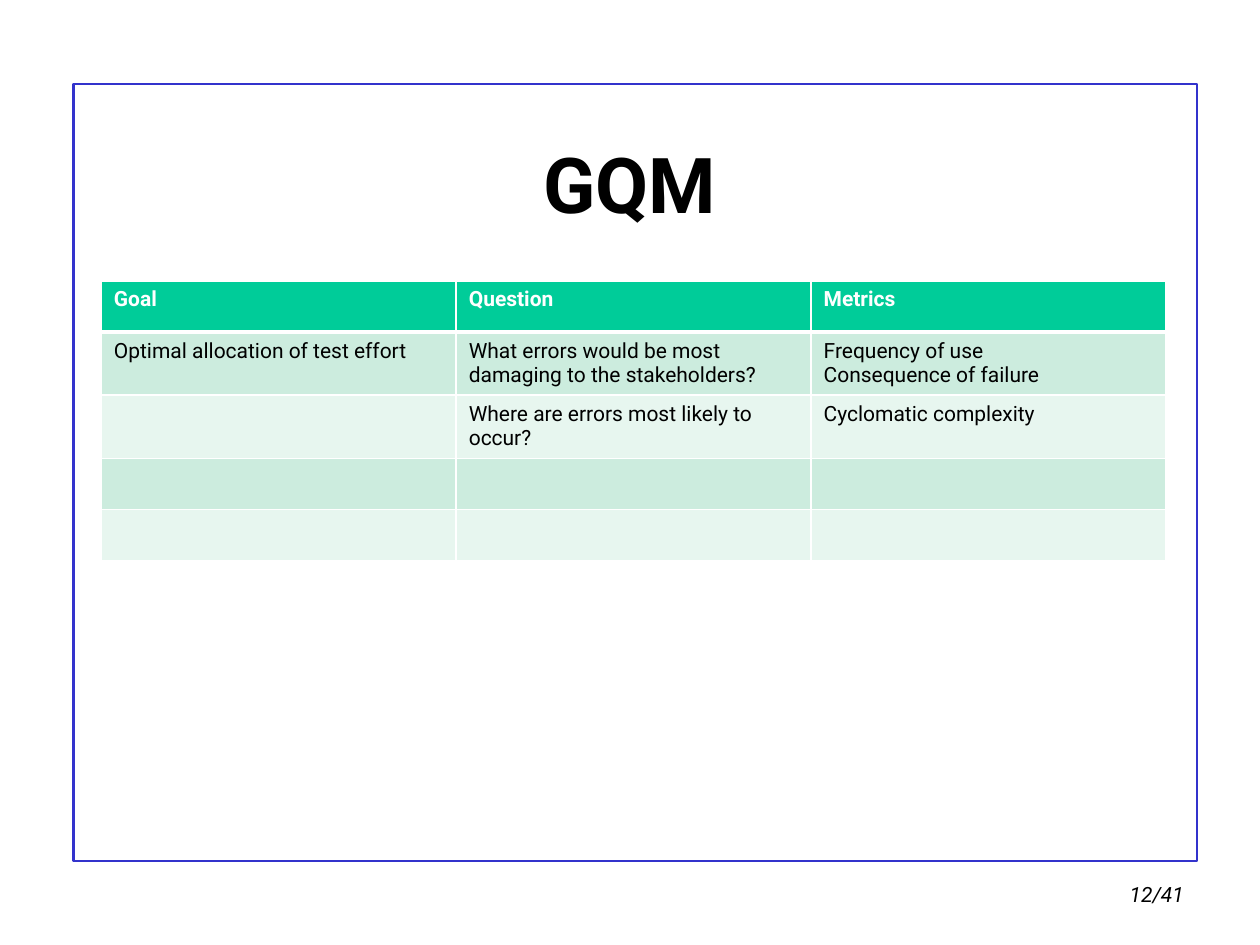
from lxml.etree import SubElement as Sub
from pptx import Presentation
from pptx.dml.color import RGBColor as RGB
from pptx.enum.shapes import MSO_SHAPE as Shape
from pptx.enum.text import MSO_ANCHOR as Anchor, PP_ALIGN as Align
from pptx.oxml.ns import qn
from pptx.util import Pt

HUES = {"frame": "3333CC", "head": "00CC99", "dark": "CCECDE",
        "light": "E7F6EF", "text": "000000", "white": "FFFFFF"}


def add_run(para, text, size, hue="text", bold=False, slant=False):
    run = para.add_run()
    run.text = text
    font = run.font
    font.name, font.size = "Roboto", Pt(size)
    font.bold, font.italic = bold, slant
    font.color.rgb = RGB.from_string(HUES[hue])


def add_edge(cell, side, width):
    line = Sub(cell._tc.get_or_add_tcPr(), qn("a:ln" + side), w=str(Pt(width)))
    fill = Sub(line, qn("a:solidFill"))
    Sub(fill, qn("a:srgbClr"), val=HUES["white"])


deck = Presentation()
deck.slide_width, deck.slide_height = Pt(720), Pt(540)
slide = deck.slides.add_slide(deck.slide_layouts[5])
shapes = slide.shapes

# Frame
frame = shapes.add_shape(Shape.RECTANGLE, Pt(42), Pt(48), Pt(642), Pt(444))
frame.shadow.inherit = False
frame.fill.background()
frame.line.color.rgb = RGB.from_string(HUES["frame"])
frame.line.width = Pt(1.5)

# Page number
page = shapes.add_textbox(Pt(638), Pt(500), Pt(46), Pt(21.6))
page.text_frame.word_wrap = False
para = page.text_frame.paragraphs[0]
para.alignment = Align.CENTER
add_run(para, "12/41", 12, slant=True)

# Title
title = shapes.title
title.left, title.top, title.width, title.height = Pt(54), Pt(62), Pt(612), Pt(85)
title.text_frame.vertical_anchor = Anchor.MIDDLE
para = title.text_frame.paragraphs[0]
para.alignment = Align.CENTER
add_run(para, "GQM", 44, bold=True)

# Table: height, fill and cell texts of each row, one text per paragraph
rows = [
    (29.2, "head", [["Goal"], ["Question"], ["Metrics"]]),
    (35.3, "dark", [["Optimal allocation of test effort"],
                    ["What errors would be most damaging to the stakeholders?"],
                    ["Frequency of use", "Consequence of failure"]]),
    (35.3, "light", [[], ["Where are errors most likely to occur?"],
                     ["Cyclomatic complexity"]]),
    (29.2, "dark", [[], [], []]),
    (29.2, "light", [[], [], []]),
]
high = sum(row[0] for row in rows)
grid = shapes.add_table(len(rows), 3, Pt(57.9), Pt(160.6), Pt(608.4), Pt(high)).table
for col in grid.columns:
    col.width = Pt(202.8)
for r, (tall, hue, texts) in enumerate(rows):
    grid.rows[r].height = Pt(tall)
    for c, lines in enumerate(texts):
        cell = grid.cell(r, c)
        for side in "LRTB":
            thick = (r, side) in ((0, "B"), (1, "T"))
            add_edge(cell, side, 3 if thick else 1)
        cell.fill.solid()
        cell.fill.fore_color.rgb = RGB.from_string(HUES[hue])
        frame = cell.text_frame
        for i, text in enumerate(lines):
            para = frame.add_paragraph() if i else frame.paragraphs[0]
            para.alignment = Align.LEFT
            add_run(para, text, 12, "text" if r else "white", bold=r == 0)

deck.save("out.pptx")
